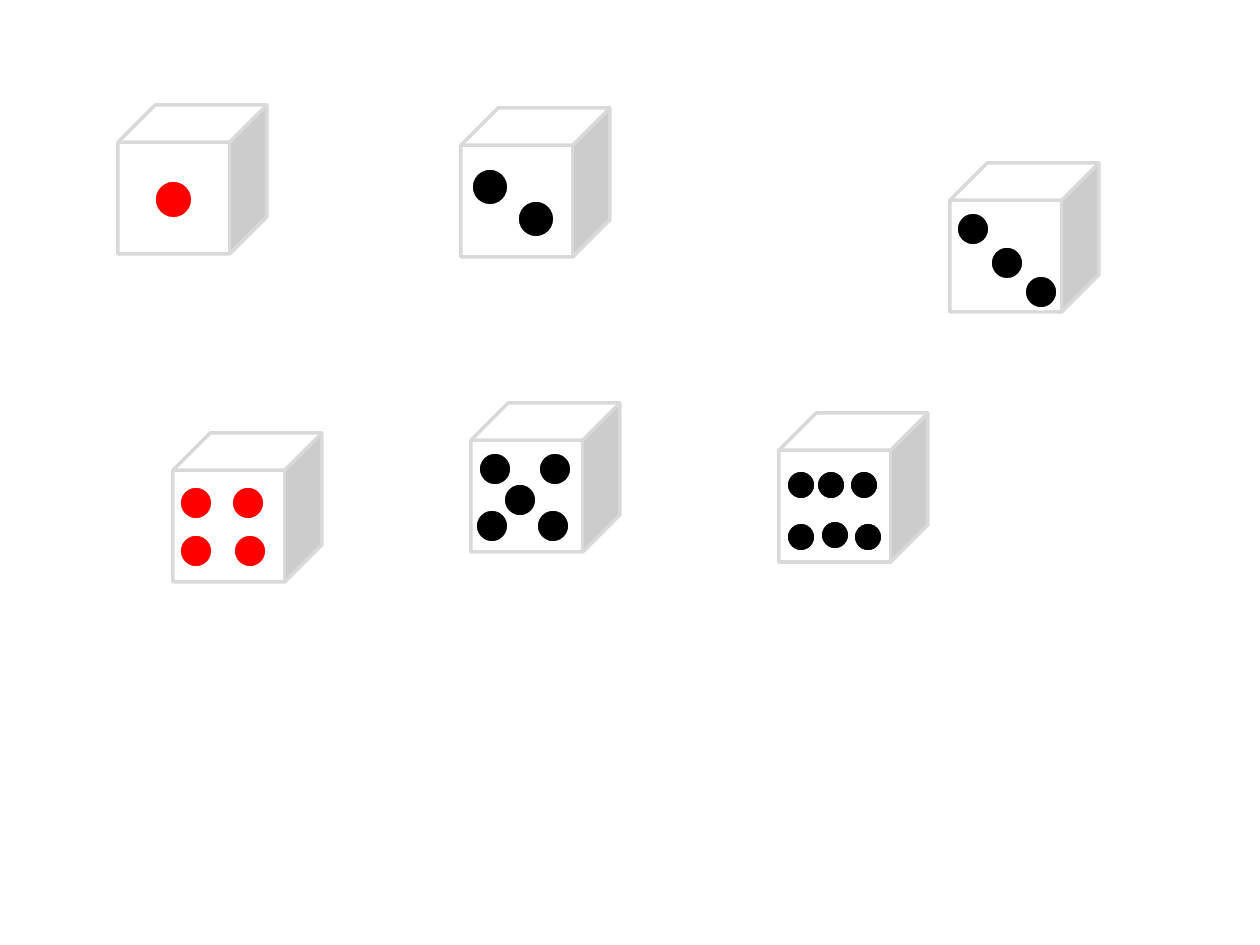
from pptx import Presentation
from pptx.dml.color import RGBColor as Rgb
from pptx.enum.shapes import MSO_SHAPE as Kind
from pptx.util import Emu, Pt

SCALE = 914400 / 126


def px(n):
    return Emu(round(n * SCALE))


def tint(code):
    return Rgb.from_string(code)


class Board:
    white, edge, red, black = "FFFFFF", "D9D9D9", "FF0000", "000000"
    side, pen = 149, 2

    def __init__(self, slide):
        self.slide = slide

    def shape(self, kind, x, y, size, fill, line):
        item = self.slide.shapes.add_shape(kind, px(x), px(y), px(size), px(size))
        item.shadow.inherit = False
        item.fill.solid()
        item.fill.fore_color.rgb = tint(fill)
        item.line.color.rgb = tint(line)
        item.line.width = Pt(self.pen)

    def cube(self, x, y):
        self.shape(Kind.CUBE, x, y, self.side, self.white, self.edge)

    def dot(self, x, y, size, fill):
        self.shape(Kind.FLOWCHART_CONNECTOR, x, y, size, fill, self.white)

    def die(self, x, y, size, fill, dots):
        self.cube(x, y)
        for dx, dy in dots:
            self.dot(x + dx, y + dy, size, fill)


DICE = [
    (118, 105, 39, Board.red, [(36, 75)]),
    (461, 108, 38, Board.black, [(10, 60), (56, 92)]),
    (950, 163, 34, Board.black, [(6, 49), (40, 83), (74, 112)]),
    (173, 433, 34, Board.red, [(6, 53), (58, 53), (6, 101), (60, 101)]),
    (471, 403, 34, Board.black,
     [(7, 49), (67, 49), (32, 80), (4, 106), (65, 106)]),
    (779, 413, 30, Board.black,
     [(7, 57), (37, 57), (70, 57), (7, 109), (41, 107), (74, 109)]),
]


def main():
    deck = Presentation()
    deck.slide_width, deck.slide_height = px(1260), px(945)
    board = Board(deck.slides.add_slide(deck.slide_layouts[6]))
    for die in DICE:
        board.die(*die)
    deck.save("out.pptx")


if __name__ == "__main__":
    main()
